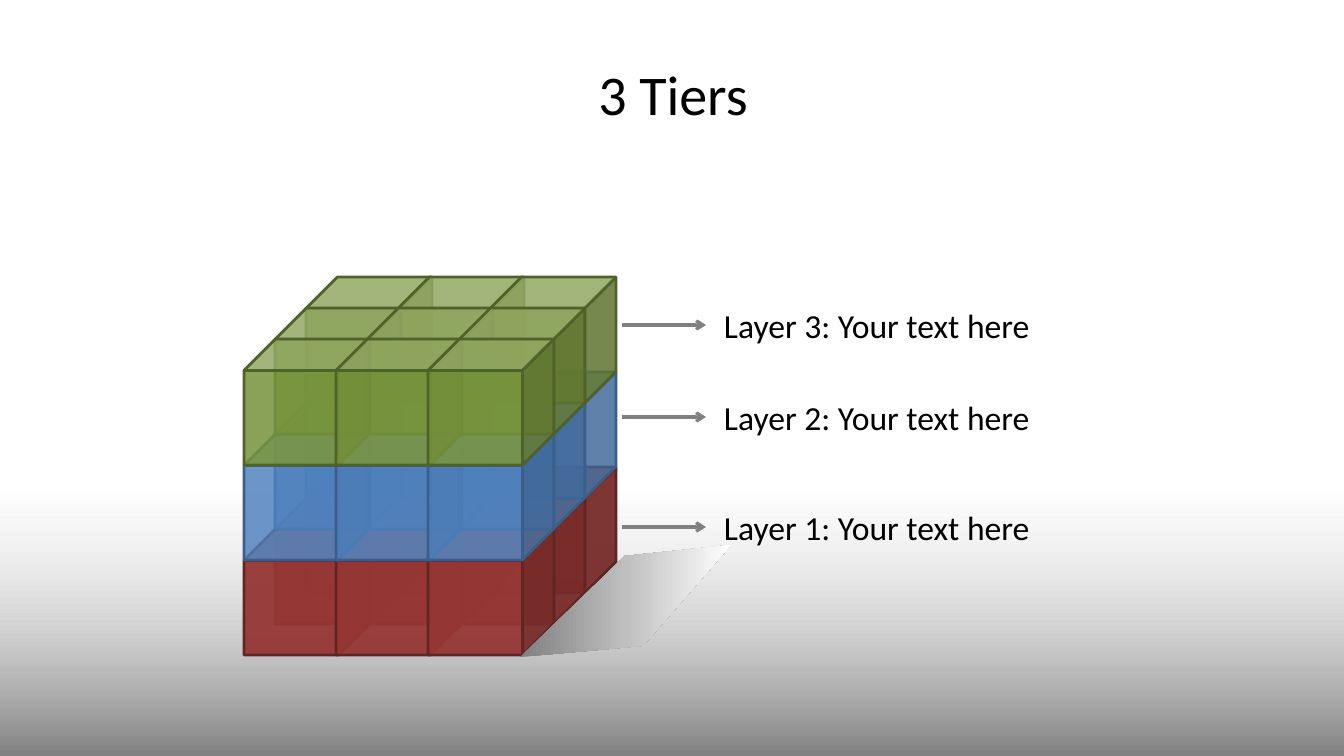
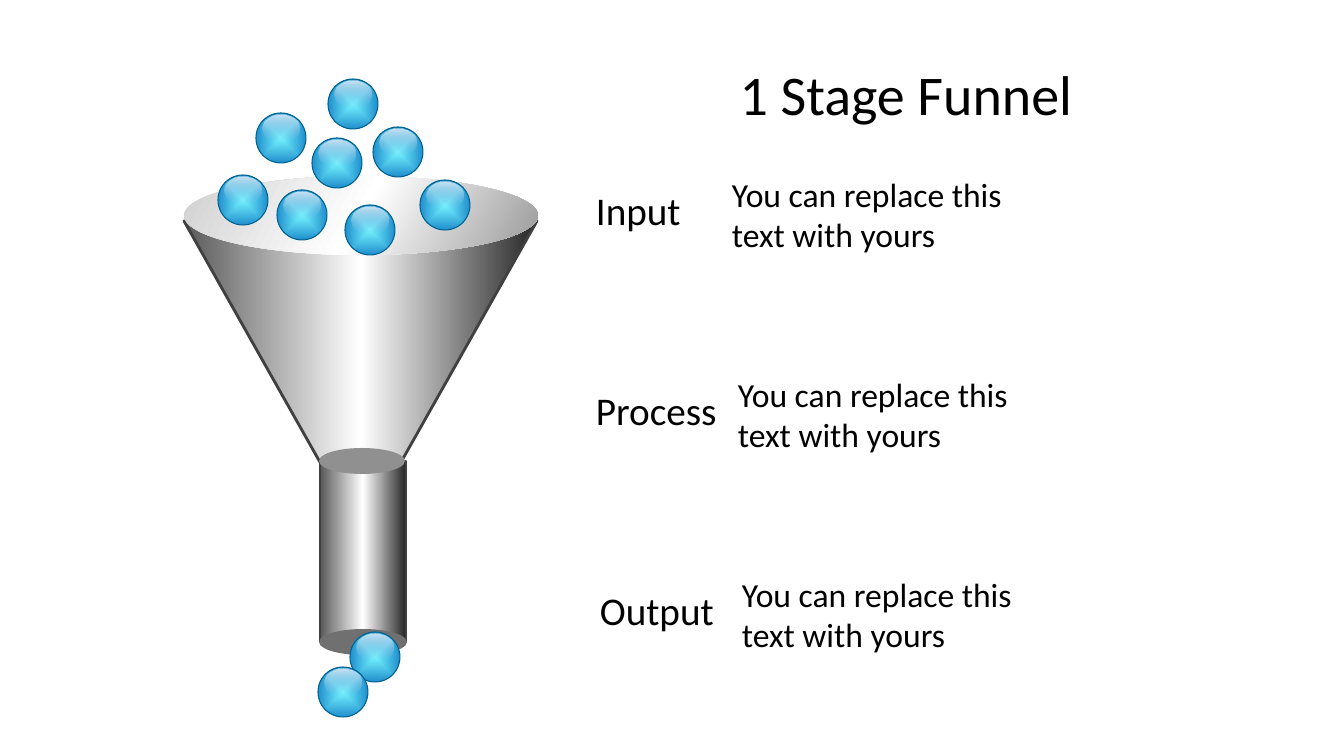
from lxml import etree
from pptx import Presentation
from pptx.dml.color import RGBColor
from pptx.enum.shapes import MSO_CONNECTOR, MSO_SHAPE
from pptx.enum.text import MSO_ANCHOR, PP_ALIGN
from pptx.oxml.ns import qn
from pptx.util import Pt

RECT, CUBE, OVAL = MSO_SHAPE.RECTANGLE, MSO_SHAPE.CUBE, MSO_SHAPE.OVAL
TRIANGLE = MSO_SHAPE.ISOSCELES_TRIANGLE
STRAIGHT = MSO_CONNECTOR.STRAIGHT
TOP, MIDDLE = MSO_ANCHOR.TOP, MSO_ANCHOR.MIDDLE
LEFT, CENTER, RIGHT = PP_ALIGN.LEFT, PP_ALIGN.CENTER, PP_ALIGN.RIGHT
PX = 9071


class Theme:
    font = "Calibri"
    title, heading, body = 40, 28, 24
    text = "000000"
    arrow = "808080"
    tiers = [("953735", 95, "632523"), ("4F81BD", 83, "3A5F8C"), ("77933C", 86, "4F6228")]
    floor = [(0, "D9D9D9", 4), (46, "BFBFBF", 60), (100, "808080", 100)]
    shade = [(0, "808080", 100), (50, "BFBFBF", 100), (100, "FFFFFF", 100)]
    metal = [(0, "595959", 100), (50, "FFFFFF", 100), (100, "262626", 100)]
    metal_edge = "404040"
    rim = [(0, "D0D0D0", 100), (50, "FFFFFF", 100), (100, "999999", 100)]
    neck, spout = [(0, "909090", 100)], [(0, "707070", 100)]
    ball = [(0, "74F4FF", 100), (100, "208ECD", 100)]
    ball_edge = "00618E"
    gloss = [(0, "FFFFFF", 77), (100, "8EB4E3", 0)]


def paint(sp, stops, angle=0, line=None, width=2):
    sp.shadow.inherit = False
    sp.fill.solid()
    solid = sp._element.spPr.find(qn("a:solidFill"))
    solid.clear()
    fill, stop_list = solid, None
    if len(stops) > 1:
        fill = etree.Element(qn("a:gradFill"), rotWithShape="1")
        stop_list = etree.SubElement(fill, qn("a:gsLst"))
        solid.getparent().replace(solid, fill)
    for pos, color, alpha in stops:
        parent = fill
        if stop_list is not None:
            parent = etree.SubElement(stop_list, qn("a:gs"), pos=str(pos * 1000))
        clr = etree.SubElement(parent, qn("a:srgbClr"), val=color)
        if alpha < 100:
            etree.SubElement(clr, qn("a:alpha"), val=str(alpha * 1000))
    if stop_list is not None and angle is None:
        shape_path = etree.SubElement(fill, qn("a:path"), path="shape")
        etree.SubElement(shape_path, qn("a:fillToRect"), l="50000", t="50000", r="50000", b="50000")
    elif stop_list is not None:
        etree.SubElement(fill, qn("a:lin"), ang=str(angle * 60000), scaled="0")
    if line:
        sp.line.color.rgb = RGBColor.from_string(line)
        sp.line.width = Pt(width)
    else:
        sp.line.fill.background()


def label(slide, box, text, size, align=LEFT, anchor=TOP, wrap=True):
    tf = slide.shapes.add_textbox(*(v * PX for v in box)).text_frame
    tf.word_wrap = wrap
    tf.vertical_anchor = anchor
    p = tf.paragraphs[0]
    p.text = text
    p.alignment = align
    p.font.name = Theme.font
    p.font.size = Pt(size)
    p.font.color.rgb = RGBColor.from_string(Theme.text)


prs = Presentation()
prs.slide_width, prs.slide_height = 1344 * PX, 756 * PX
blank = prs.slide_layouts[6]

slide = prs.slides.add_slide(blank)
floor = slide.shapes.add_shape(RECT, 0, 494 * PX, 1344 * PX, 262 * PX)
paint(floor, Theme.floor, 90)
label(slide, (68, 30, 1210, 126), "3 Tiers", Theme.title, CENTER, MIDDLE)

CUBE_SIZE, COLUMN_STEP, ROW_STEP, TIER_STEP = 126, 92, 31, 95
for tier, (color, alpha, edge) in enumerate(Theme.tiers):
    for depth in (2, 1, 0):
        for column in range(3):
            x = 244 + column * COLUMN_STEP + depth * ROW_STEP
            y = 529 - tier * TIER_STEP - depth * ROW_STEP
            sp = slide.shapes.add_shape(CUBE, x * PX, y * PX, CUBE_SIZE * PX, CUBE_SIZE * PX)
            paint(sp, [(0, color, alpha)], line=edge)

for number, y in enumerate((527, 417, 325), 1):
    arrow = slide.shapes.add_connector(STRAIGHT, 622 * PX, y * PX, 706 * PX, y * PX)
    arrow.line.color.rgb = RGBColor.from_string(Theme.arrow)
    arrow.line.width = Pt(2.25)
    etree.SubElement(arrow.line._get_or_add_ln(), qn("a:tailEnd"), type="arrow")
    etree.SubElement(arrow._element.spPr, qn("a:effectLst"))
    label(slide, (714, y - 25, 330, 50), f"Layer {number}: Your text here", Theme.body, wrap=False)

outline = slide.shapes.build_freeform(625, 556, scale=PX)
outline.add_line_segments([(731, 545), (643, 646), (520, 657)], close=True)
paint(outline.convert_to_shape(), Theme.shade)

slide = prs.slides.add_slide(blank)
label(slide, (68, 30, 1014, 126), "1 Stage Funnel", Theme.title, RIGHT, MIDDLE)

funnel = [
    (TRIANGLE, (184, 221, 353, 313), Theme.metal, 0, Theme.metal_edge),
    (RECT, (320, 461, 86, 181), Theme.metal, 0, Theme.metal_edge),
    (OVAL, (319, 629, 88, 26), Theme.spout, 0, None),
    (OVAL, (184, 176, 354, 79), Theme.rim, 30, None),
    (OVAL, (319, 448, 86, 26), Theme.neck, 0, None),
]
for kind, box, stops, angle, edge in funnel:
    sp = slide.shapes.add_shape(kind, *(v * PX for v in box))
    paint(sp, stops, angle, edge)
    if kind == TRIANGLE:
        sp._element.spPr.xfrm.set("flipV", "1")

balls = [(350, 632), (218, 175), (256, 113), (277, 190), (373, 127),
         (312, 138), (345, 205), (318, 667), (420, 180), (328, 79)]
for x, y in balls:
    ball = slide.shapes.add_shape(OVAL, x * PX, y * PX, 50 * PX, 50 * PX)
    paint(ball, Theme.ball, None, Theme.ball_edge, 0.75)
    gloss = slide.shapes.add_shape(OVAL, (x + 7) * PX, (y + 2) * PX, 37 * PX, 27 * PX)
    paint(gloss, Theme.gloss, 90)

stages = [("Input", 586, 722), ("Process", 586, 728), ("Output", 590, 732)]
for i, (name, name_x, body_x) in enumerate(stages):
    y = 181 + i * 200
    label(slide, (name_x, y, 143, 57), name, Theme.heading, wrap=False)
    label(slide, (body_x, y - 12, 338, 92), "You can replace this text with yours", Theme.body)

prs.save("out.pptx")
